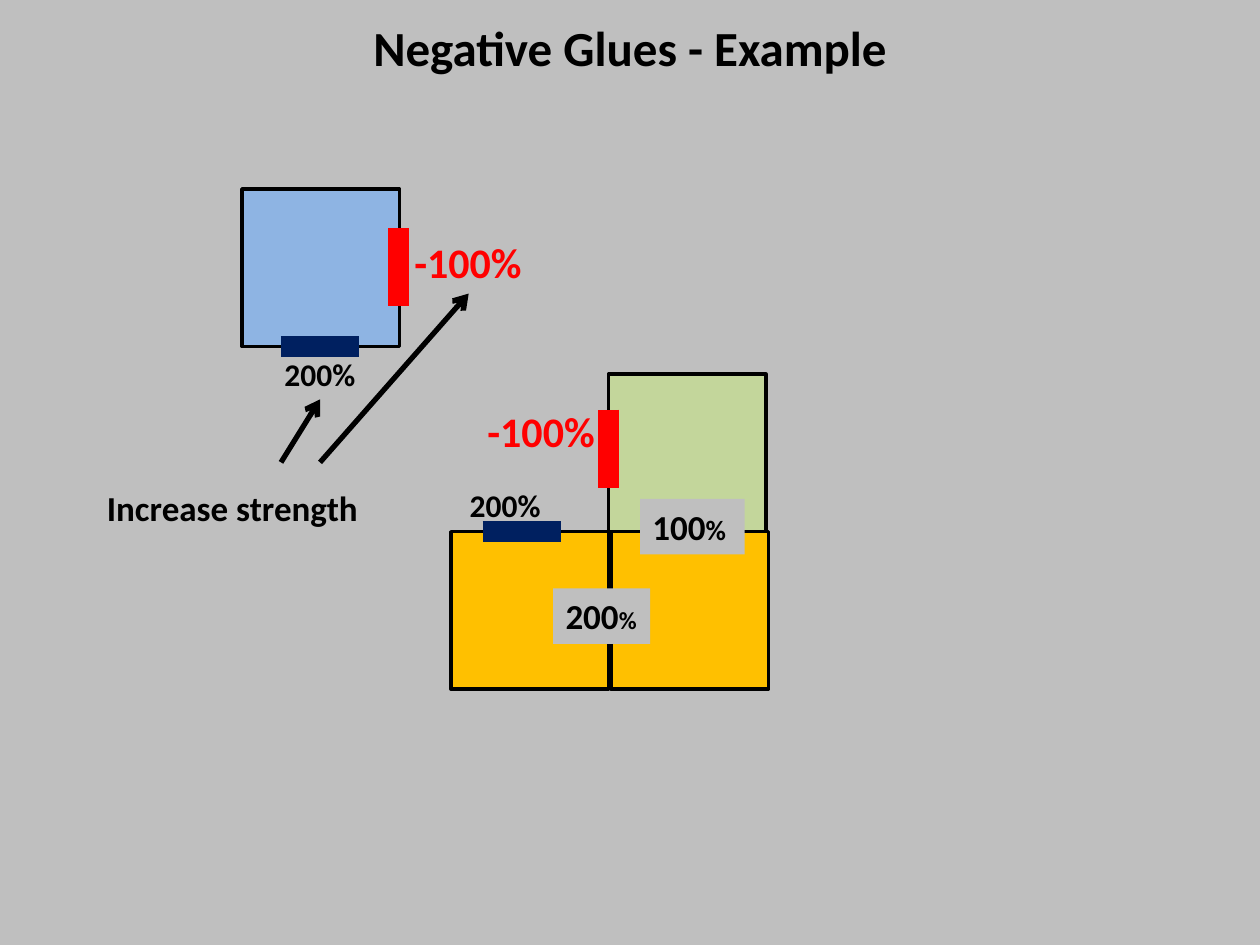
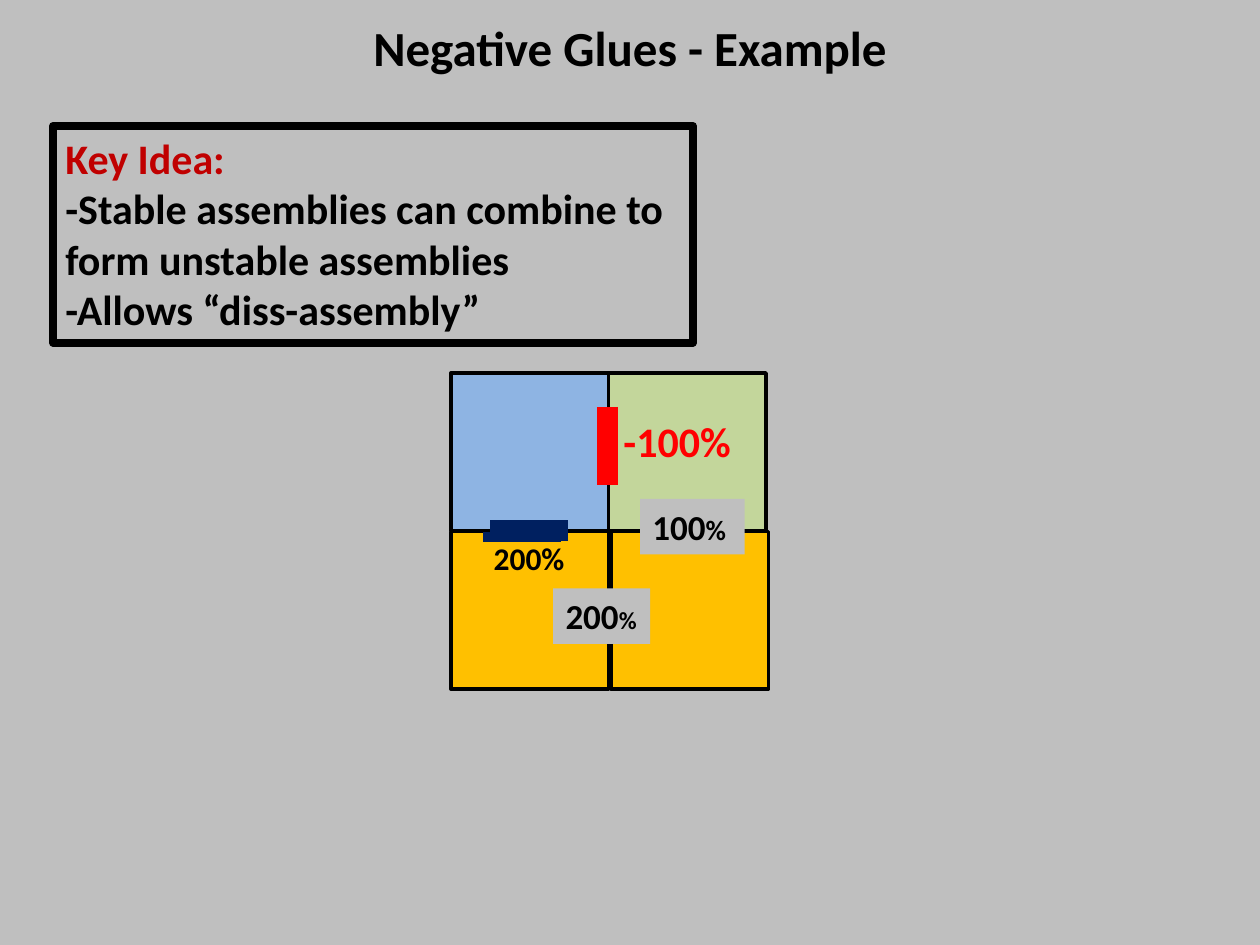
from dataclasses import dataclass

from lxml import etree
from pptx import Presentation
from pptx.dml.color import RGBColor
from pptx.enum.shapes import MSO_CONNECTOR, MSO_SHAPE
from pptx.enum.text import MSO_ANCHOR, MSO_AUTO_SIZE, PP_ALIGN
from pptx.oxml.ns import qn
from pptx.slide import Slide
from pptx.text.text import TextFrame
from pptx.util import Inches, Pt

RECTANGLE = MSO_SHAPE.RECTANGLE
STRAIGHT = MSO_CONNECTOR.STRAIGHT
LEFT, CENTER = PP_ALIGN.LEFT, PP_ALIGN.CENTER
TOP, MIDDLE = MSO_ANCHOR.TOP, MSO_ANCHOR.MIDDLE
FIT_SHAPE = MSO_AUTO_SIZE.SHAPE_TO_FIT_TEXT
NO_FIT = MSO_AUTO_SIZE.NONE

FONT = "Calibri"
COLORS = {
    "background": "BFBFBF",
    "ink": "000000",
    "seed": "FFC000",
    "green": "C3D69B",
    "blue": "8EB4E3",
    "positive": "002060",
    "negative": "FF0000",
    "heading": "C00000",
}
TILE = 1.25
GLUE = 0.62
GLUE_WEIGHT = 12
ARROW_WEIGHT = 3


@dataclass(frozen=True)
class Words:
    text: str
    size: float
    color: str = "ink"


@dataclass(frozen=True)
class Box:
    left: float
    top: float
    width: float
    height: float
    fill: str | None = None
    border: float = 0
    lines: tuple[tuple[Words, ...], ...] = ()


@dataclass(frozen=True)
class Label:
    left: float
    top: float
    width: float
    height: float
    words: Words


@dataclass(frozen=True)
class Stroke:
    start: tuple[float, float]
    end: tuple[float, float]
    color: str
    weight: float
    arrow: bool = False


Part = Box | Label | Stroke


def rgb(name: str) -> RGBColor:
    return RGBColor.from_string(COLORS[name])


def write(frame: TextFrame, lines: tuple[tuple[Words, ...], ...], align=LEFT) -> None:
    for index, line in enumerate(lines):
        paragraph = frame.add_paragraph() if index else frame.paragraphs[0]
        paragraph.alignment = align
        for words in line:
            run = paragraph.add_run()
            run.text = words.text
            run.font.name = FONT
            run.font.size = Pt(words.size)
            run.font.bold = True
            run.font.color.rgb = rgb(words.color)


def draw_box(slide: Slide, box: Box) -> None:
    shape = slide.shapes.add_shape(
        RECTANGLE, Inches(box.left), Inches(box.top), Inches(box.width), Inches(box.height)
    )
    shape.shadow.inherit = False
    if box.fill:
        shape.fill.solid()
        shape.fill.fore_color.rgb = rgb(box.fill)
    else:
        shape.fill.background()
    if box.border:
        shape.line.color.rgb = rgb("ink")
        shape.line.width = Pt(box.border)
    else:
        shape.line.fill.background()
    if box.lines:
        frame = shape.text_frame
        frame.word_wrap = True
        frame.auto_size = FIT_SHAPE
        frame.vertical_anchor = TOP
        write(frame, box.lines)


def draw_label(slide: Slide, label: Label) -> None:
    frame = slide.shapes.add_textbox(
        Inches(label.left), Inches(label.top), Inches(label.width), Inches(label.height)
    ).text_frame
    frame.word_wrap = False
    frame.auto_size = FIT_SHAPE
    write(frame, ((label.words,),))


def draw_stroke(slide: Slide, stroke: Stroke) -> None:
    connector = slide.shapes.add_connector(
        STRAIGHT, *(Inches(value) for value in stroke.start + stroke.end)
    )
    connector.line.color.rgb = rgb(stroke.color)
    connector.line.width = Pt(stroke.weight)
    if stroke.arrow:
        etree.SubElement(connector.line._get_or_add_ln(), qn("a:tailEnd"), type="arrow")
    etree.SubElement(connector._element.spPr, qn("a:effectLst"))


DRAWERS = {Box: draw_box, Label: draw_label, Stroke: draw_stroke}


def draw(slide: Slide, parts: list[Part]) -> None:
    for part in parts:
        DRAWERS[type(part)](slide, part)


def tile(left: float, top: float, color: str) -> Box:
    return Box(left, top, TILE, TILE, color, 2)


def positive_glue(left: float, top: float) -> Stroke:
    return Stroke((left, top), (left + GLUE, top), "positive", GLUE_WEIGHT)


def negative_glue(left: float, top: float) -> Stroke:
    return Stroke((left, top), (left, top + GLUE), "negative", GLUE_WEIGHT)


def positive_label(left: float, top: float) -> Label:
    return Label(left, top, 0.77, 0.4, Words("200%", 18))


def negative_label(left: float, top: float) -> Label:
    return Label(left, top, 1.06, 0.5, Words("-100%", 24, "negative"))


def bond(left: float, top: float, width: float, strength: str, percent_size: float) -> Box:
    words = (Words(strength, 20), Words("%", percent_size))
    return Box(left, top, width, 0.44, "background", lines=(words,))


def blue_tile(left: float, top: float, glue_drop: float) -> list[Part]:
    return [
        tile(left, top, "blue"),
        positive_glue(left + 0.31, top + TILE),
        negative_glue(left + 1.24, top + glue_drop),
        negative_label(left + 1.27, top + glue_drop + 0.02),
        positive_label(left + 0.24, top + 1.27),
    ]


def add_title(slide: Slide) -> None:
    frame = slide.shapes.add_textbox(0, 0, Inches(10), Inches(0.75)).text_frame
    frame.word_wrap = True
    frame.auto_size = NO_FIT
    frame.vertical_anchor = MIDDLE
    write(frame, ((Words("Negative Glues - Example", 28),),), CENTER)


def add_assembly_slide(deck, green_top: float) -> Slide:
    slide = deck.slides.add_slide(deck.slide_layouts[6])
    slide.background.fill.solid()
    slide.background.fill.fore_color.rgb = rgb("background")
    add_title(slide)
    draw(slide, [
        tile(4.83, green_top, "green"),
        tile(4.85, 4.22, "seed"),
        tile(3.58, 4.22, "seed"),
        positive_glue(3.83, 4.22),
        bond(4.39, 4.67, 0.77, "200", 14),
        bond(5.08, 3.96, 0.83, "100", 16),
    ])
    return slide


def add_approach_slide(deck) -> None:
    slide = add_assembly_slide(deck, 2.97)
    draw(slide, [
        negative_glue(4.83, 3.25),
        negative_label(3.77, 3.17),
        positive_label(3.63, 3.81),
        *blue_tile(1.92, 1.5, 0.31),
        Label(0.75, 3.81, 2.21, 0.44, Words("Increase strength", 20)),
        Stroke((2.23, 3.67), (2.54, 3.17), "ink", ARROW_WEIGHT, True),
        Stroke((2.54, 3.67), (3.72, 2.33), "ink", ARROW_WEIGHT, True),
    ])


def add_key_idea_slide(deck) -> None:
    slide = add_assembly_slide(deck, 2.96)
    key_idea = (
        (Words("Key Idea:", 24, "heading"),),
        (Words("-Stable assemblies can combine to form unstable assemblies", 24),),
        (Words("-Allows “diss-assembly”", 24),),
    )
    draw(slide, [
        *blue_tile(3.58, 2.96, 0.27),
        Box(0.42, 1, 5.08, 1.72, border=4.5, lines=key_idea),
    ])


def main() -> None:
    deck = Presentation()
    deck.slide_width = Inches(10)
    deck.slide_height = Inches(7.5)
    add_approach_slide(deck)
    add_key_idea_slide(deck)
    deck.save("out.pptx")


if __name__ == "__main__":
    main()
